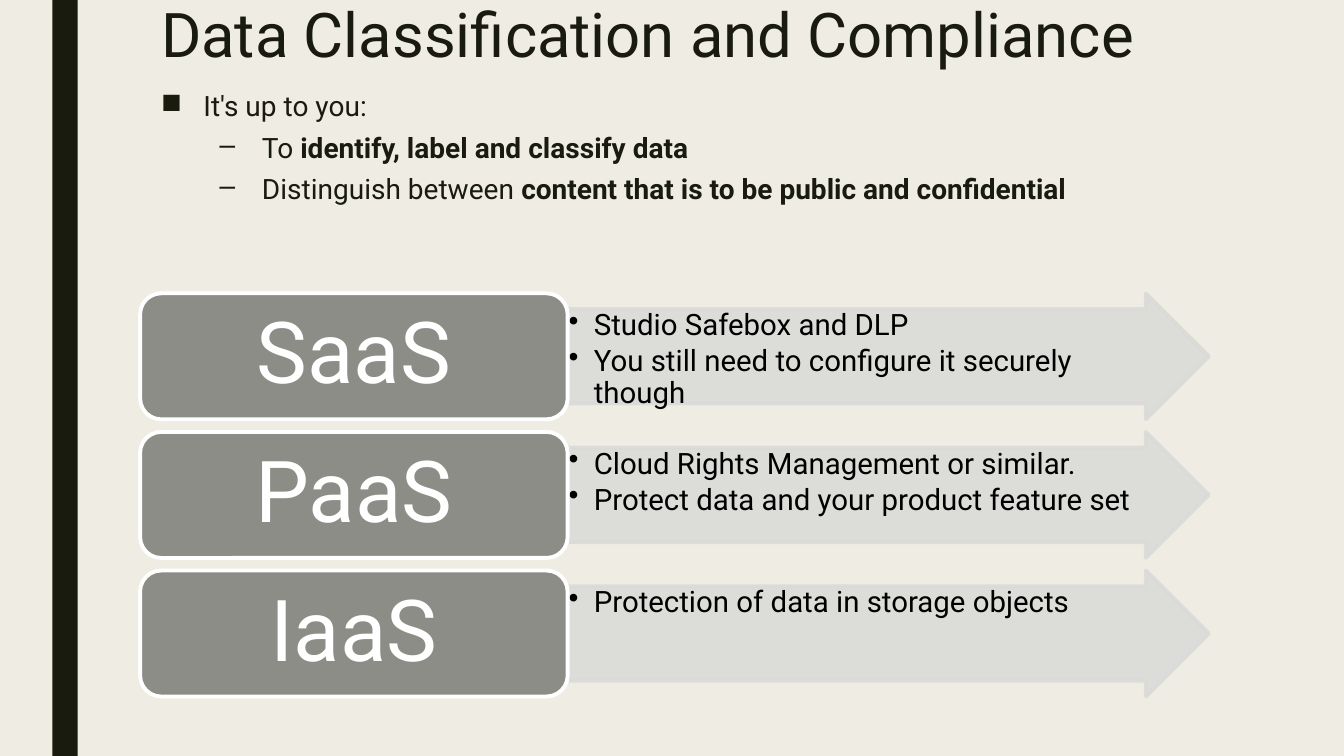
from dataclasses import dataclass

from lxml.etree import SubElement
from pptx import Presentation
from pptx.dml.color import RGBColor
from pptx.enum.shapes import MSO_SHAPE
from pptx.enum.text import MSO_ANCHOR, PP_ALIGN
from pptx.oxml.ns import qn
from pptx.util import Inches, Pt

FONT = "Roboto"
INK, PAPER, WHITE, BLACK = "191B0E", "EFEDE3", "FFFFFF", "000000"
LABEL_FILL, ARROW_FILL = "8C8D86", "DADBD9"
FIRST_TOP, LAST_TOP, ROW_HEIGHT = 2.91, 5.66, 1.25
LABEL_LEFT, LABEL_WIDTH = 1.39, 4.24
ARROW_LEFT, ARROW_WIDTH = 5.63, 6.36


@dataclass
class Service:
    """A cloud service model and its data protection points."""

    name: str
    points: list[str]


@dataclass
class Duty:
    """A body line with a plain start and a bold end."""

    plain: str
    bold: str
    bullet: str
    margin: float
    before: float


SERVICES = [
    Service("SaaS", ["Studio Safebox and DLP",
                     "You still need to configure it securely though"]),
    Service("PaaS", ["Cloud Rights Management or similar.",
                     "Protect data and your product feature set"]),
    Service("IaaS", ["Protection of data in storage objects"]),
]
DUTIES = [
    Duty("It's up to you:", "", "■", 0.42, 10),
    Duty("To ", "identify, label and classify data", "–", 1, 5),
    Duty("Distinguish between ", "content that is to be public and confidential",
         "–", 1, 5),
]


def rgb(value: str) -> RGBColor:
    """Turn a hex string into a colour."""
    return RGBColor.from_string(value)


def style(p, size: float, color: str, spacing: float, after: float = 0) -> None:
    """Format a paragraph and all its runs."""
    p.line_spacing = spacing
    p.space_after = Pt(after)
    for r in p.runs:
        r.font.name, r.font.size = FONT, Pt(size)
        r.font.color.rgb = rgb(color)


def add_bullet(p, char: str, margin: float, hang: float) -> None:
    """Give a paragraph a hanging bullet."""
    props = p._p.get_or_add_pPr()
    props.set("marL", str(Inches(margin)))
    props.set("indent", str(-Inches(hang)))
    SubElement(props, qn("a:buChar")).set("char", char)


def add_text(s, left: float, top: float, width: float, height: float):
    """Add a wrapping text box and return its text frame."""
    tf = s.shapes.add_textbox(
        Inches(left), Inches(top), Inches(width), Inches(height)).text_frame
    tf.word_wrap = True
    return tf


def add_block(s, kind, left: float, top: float, width: float, height: float,
              fill: str, line: str | None = None):
    """Add a filled preset shape with an optional outline."""
    sp = s.shapes.add_shape(
        kind, Inches(left), Inches(top), Inches(width), Inches(height))
    sp.shadow.inherit = False
    sp.fill.solid()
    sp.fill.fore_color.rgb = rgb(fill)
    if line:
        sp.line.color.rgb = rgb(line)
        sp.line.width = Pt(2.75)
    else:
        sp.line.fill.background()
    return sp


def set_insets(tf, x: float, y: float) -> None:
    """Set the horizontal and vertical insets of a text frame."""
    tf.margin_left = tf.margin_right = Inches(x)
    tf.margin_top = tf.margin_bottom = Inches(y)


def add_duties(s) -> None:
    """Add the bulleted introduction."""
    tf = add_text(s, 1.5, 0.86, 10.5, 1.5)
    for i, duty in enumerate(DUTIES):
        p = tf.add_paragraph() if i else tf.paragraphs[0]
        p.text = duty.plain
        if duty.bold:
            r = p.add_run()
            r.text, r.font.bold = duty.bold, True
        style(p, 20, INK, 0.94, 2)
        p.space_before = Pt(duty.before)
        add_bullet(p, duty.bullet, duty.margin, 0.42)


def add_service(s, service: Service, top: float) -> None:
    """Add one row: an arrow with its points and a label."""
    arrow = add_block(s, MSO_SHAPE.RIGHT_ARROW, ARROW_LEFT, top, ARROW_WIDTH,
                      ROW_HEIGHT, ARROW_FILL, ARROW_FILL)
    arrow.adjustments[0], arrow.adjustments[1] = 0.75, 0.5
    for color in arrow._element.spPr.iter(qn("a:srgbClr")):
        SubElement(color, qn("a:alpha")).set("val", "90000")

    tf = add_text(s, ARROW_LEFT, top + ROW_HEIGHT / 8, 5.89, ROW_HEIGHT * 0.75)
    set_insets(tf, 0.01, 0.01)
    tf.text = "\n".join(service.points)
    for p in tf.paragraphs:
        style(p, 21, BLACK, 0.9, 3.15)
        add_bullet(p, "•", 0.25, 0.25)

    label = add_block(s, MSO_SHAPE.ROUNDED_RECTANGLE, LABEL_LEFT, top,
                      LABEL_WIDTH, ROW_HEIGHT, LABEL_FILL, WHITE)
    tf = label.text_frame
    tf.word_wrap, tf.vertical_anchor = True, MSO_ANCHOR.MIDDLE
    set_insets(tf, 0.25, 0.13)
    tf.text = service.name
    tf.paragraphs[0].alignment = PP_ALIGN.CENTER
    style(tf.paragraphs[0], 61, WHITE, 0.9)


def main() -> None:
    """Build and save the slide."""
    prs = Presentation()
    prs.slide_width, prs.slide_height = Inches(13.33), Inches(7.5)
    s = prs.slides.add_slide(prs.slide_layouts[6])
    s.background.fill.solid()
    s.background.fill.fore_color.rgb = rgb(PAPER)
    add_block(s, MSO_SHAPE.RECTANGLE, 0.52, 0, 0.25, 7.5, INK)

    tf = add_text(s, 1.5, 0, 10.5, 0.85)
    tf.text = "Data Classification and Compliance"
    style(tf.paragraphs[0], 44, INK, 0.89)
    add_duties(s)

    pitch = (LAST_TOP - FIRST_TOP) / (len(SERVICES) - 1)
    for i, service in enumerate(SERVICES):
        add_service(s, service, FIRST_TOP + i * pitch)
    prs.save("out.pptx")


main()
